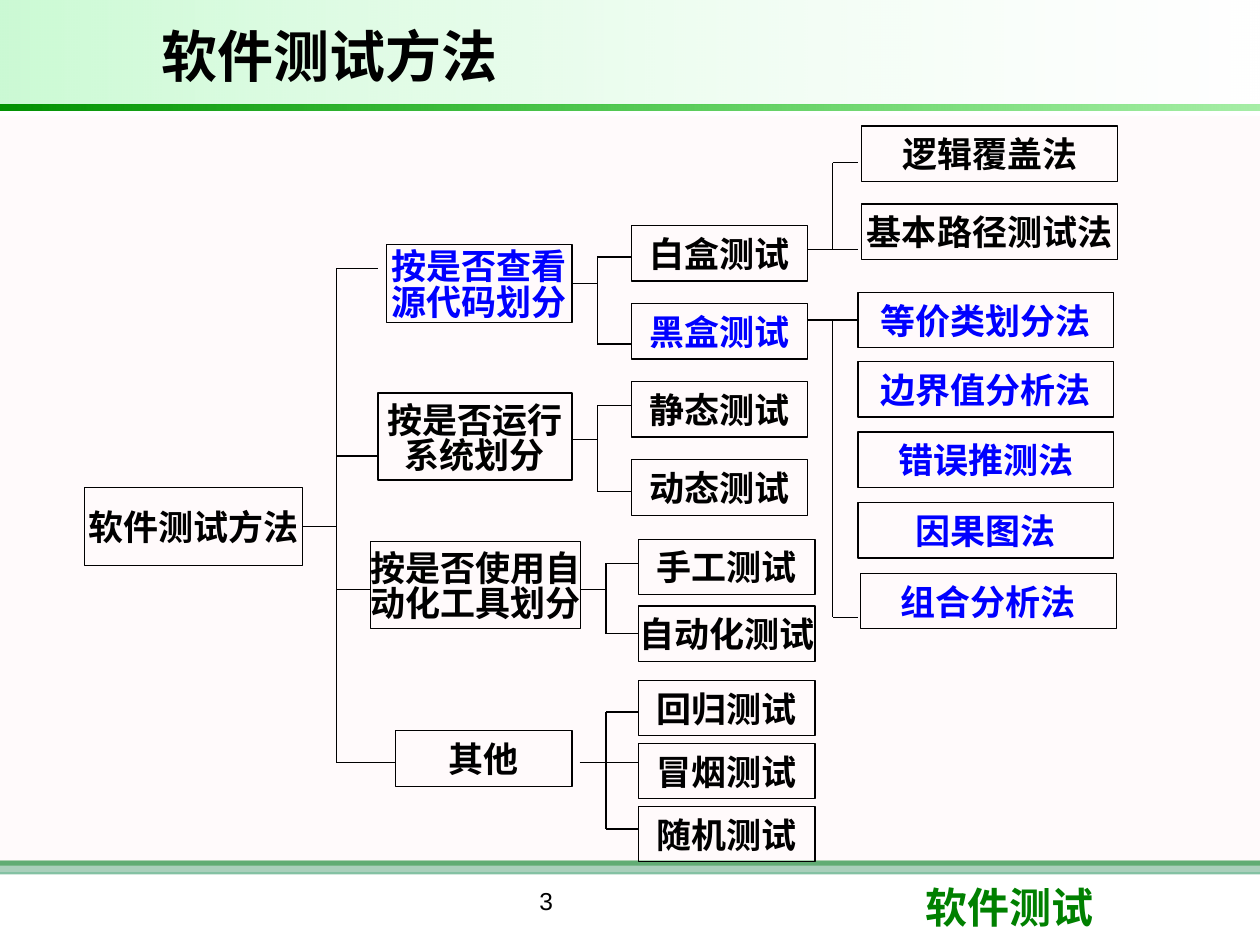
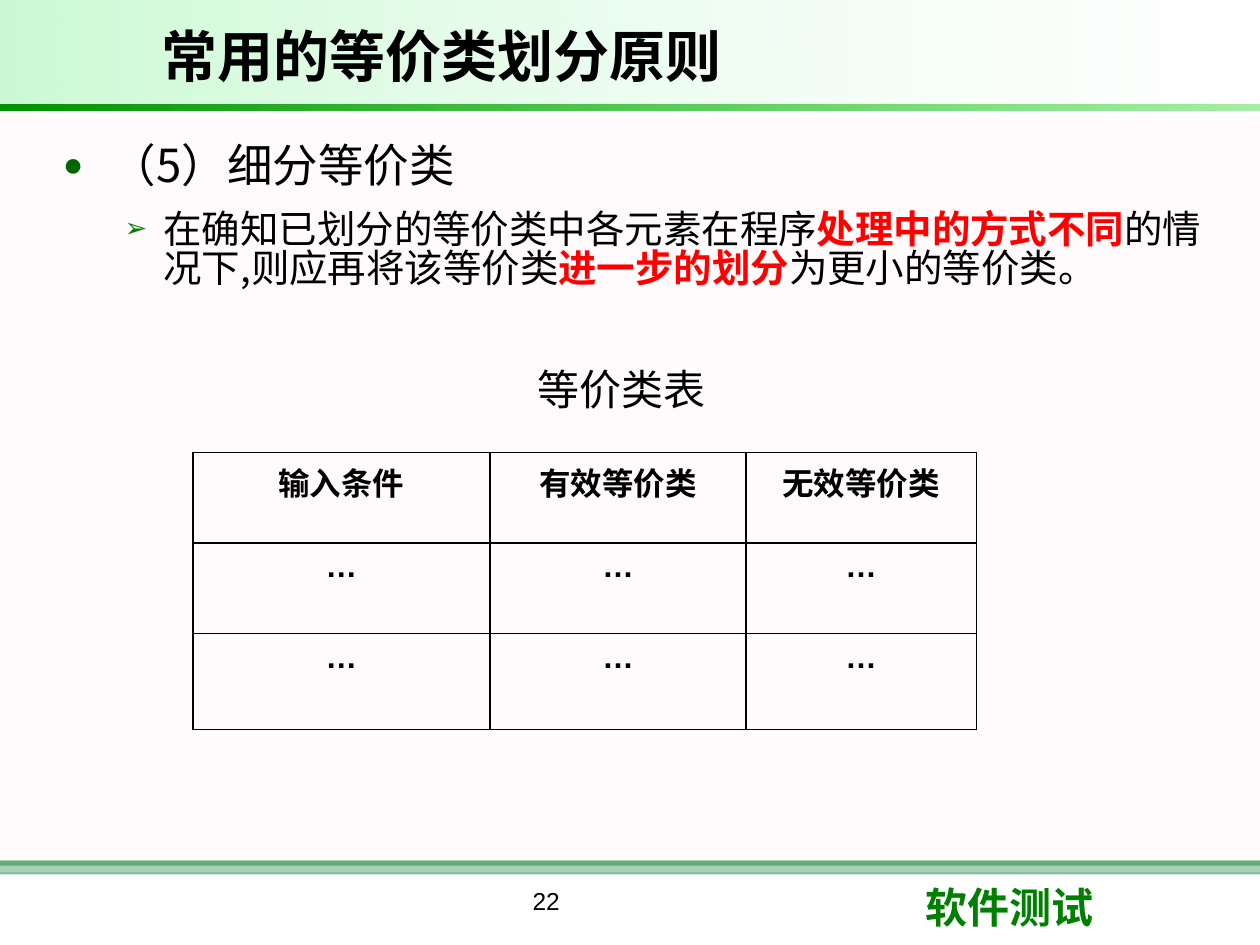
"""Build two slides on software testing methods."""
from dataclasses import dataclass
from typing import NamedTuple

from lxml.etree import SubElement
from pptx import Presentation
from pptx.dml.color import RGBColor as RGB
from pptx.enum.shapes import MSO_CONNECTOR as CONN, MSO_SHAPE as SHAPE
from pptx.enum.text import MSO_ANCHOR as ANCHOR, PP_ALIGN as ALIGN
from pptx.oxml.ns import qn
from pptx.util import Emu, Pt

SCALE = 9144
CJK = "Noto Sans CJK SC"
TIGHT = 0.84
COLORS = {
    "black": "000000", "white": "FFFFFF", "blue": "0000FF", "red": "FF0000",
    "green": "008000", "dark": "006600", "sea": "339966", "blush": "FFF0F5",
    "mint": "09E733", "leaf": "009200", "lime": "00CC00",
}


class Band(NamedTuple):
    """A full-width band whose fill is one or two (colour, opacity) stops."""
    y: int
    h: int
    stops: tuple[tuple[str, int], ...]


@dataclass
class Box:
    """A node of the method tree."""
    text: str
    x: int
    y: int
    w: int = 140
    h: int = 44
    color: str = "black"


class Bracket(NamedTuple):
    """A feeder line, a vertical trunk and the tips leaving it."""
    start: tuple[int, int]
    trunk: int
    tips: tuple[tuple[int, int], ...]


class Span(NamedTuple):
    """A stretch of text in one style."""
    text: str
    color: str = "black"
    bold: bool = False


class Bullet(NamedTuple):
    """A bulleted paragraph."""
    char: str
    color: str
    percent: int
    left: int
    hang: int
    size: int
    spans: tuple[Span, ...]


BANDS = (
    Band(683, 4, (("green", 100),)),
    Band(683, 11, (("sea", 60),)),
    Band(92, 600, (("blush", 30),)),
    Band(0, 83, (("mint", 21), ("white", 10))),
    Band(83, 5, (("leaf", 100), ("lime", 35))),
)
BLACK_BOX_METHODS = ("等价类划分法", "边界值分析法", "错误推测法", "因果图法", "组合分析法")
BOXES = [
    Box("软件测试方法", 67, 387, 173, 62),
    Box("按是否查看\n源代码划分", 307, 194, 147, 62, "blue"),
    Box("按是否运行\n系统划分", 300, 312, 154, 69),
    Box("按是否使用自\n动化工具划分", 294, 430, 167, 69),
    Box("其他", 314, 580),
    Box("白盒测试", 501, 179),
    Box("黑盒测试", 501, 241, color="blue"),
    Box("静态测试", 501, 303),
    Box("动态测试", 501, 365),
    Box("手工测试", 507, 428),
    Box("自动化测试", 507, 481),
    *(Box(text, 507, 540 + 50 * i)
      for i, text in enumerate(("回归测试", "冒烟测试", "随机测试"))),
    *(Box(text, 684, 100 + 62 * i, 203)
      for i, text in enumerate(("逻辑覆盖法", "基本路径测试法"))),
    *(Box(text, 683 if i == 4 else 681, 232 + int(55.75 * i), 203, color="blue")
      for i, text in enumerate(BLACK_BOX_METHODS)),
]
BRACKETS = (
    Bracket((240, 418), 267, ((300, 213), (300, 362), (294, 468), (314, 605))),
    Bracket((454, 225), 474, ((501, 204), (501, 273))),
    Bracket((454, 349), 474, ((501, 322), (501, 390))),
    Bracket((460, 468), 481, ((507, 447), (507, 503))),
    Bracket((460, 605), 481, ((507, 565), (507, 605), (507, 658))),
    Bracket((641, 198), 661, ((681, 129), (681, 198))),
    Bracket((641, 254), 661, ((681, 254), (681, 490))),
)
BULLETS = (
    Bullet("●", "dark", 75, 39, -38, 26, (Span("（5）细分等价类"),)),
    Bullet("➢", "green", 70, 81, -31, 22, (
        Span("在确知已划分的等价类中各元素在程序"),
        Span("处理中的方式不同", "red", True),
        Span("的情况下,则应再将该等价类"),
        Span("进一步的划分", "red", True),
        Span("为更小的等价类。"),
    )),
)
COLUMNS = (236, 203, 183)
ROWS = (72, 72, 76)
CELLS = (("输入条件", "有效等价类", "无效等价类"), ("…",) * 3, ("…",) * 3)


def px(value: float) -> Emu:
    """Turn px into EMU."""
    return Emu(round(value * SCALE))


def rgb(name: str) -> RGB:
    """Look up a colour."""
    return RGB.from_string(COLORS[name])


def assign(target, **values) -> None:
    """Set the given attributes on an object."""
    for key, value in values.items():
        setattr(target, key, value)


def add_run(p, span: Span, size: int, font: str = "Arial") -> None:
    """Add a styled run to a paragraph."""
    r = p.add_run()
    r.text = span.text
    assign(r.font, size=Pt(size), bold=span.bold, name=font)
    r.font.color.rgb = rgb(span.color)
    SubElement(r.font._element, qn("a:ea"), typeface=CJK)


def fill_text(tf, span: Span, size: int, font: str = "Arial",
              align: ALIGN = ALIGN.LEFT) -> None:
    """Write each line of a span as a paragraph."""
    for i, line in enumerate(span.text.split("\n")):
        p = tf.add_paragraph() if i else tf.paragraphs[0]
        p.alignment = align
        if i:
            p.line_spacing = TIGHT
        add_run(p, span._replace(text=line), size, font)


def add_text(s, area: tuple[int, int, int, int], span: Span, size: int,
             font: str = "Arial", align: ALIGN = ALIGN.LEFT,
             anchor: ANCHOR = ANCHOR.TOP, wrap: bool = True) -> None:
    """Add a text box."""
    tf = s.shapes.add_textbox(*map(px, area)).text_frame
    assign(tf, word_wrap=wrap, vertical_anchor=anchor)
    fill_text(tf, span, size, font, align)


def add_band(s, band: Band) -> None:
    """Draw a band with a solid or gradient fill."""
    sp = s.shapes.add_shape(SHAPE.RECTANGLE, 0, px(band.y), px(1000), px(band.h))
    sp.shadow.inherit = False
    sp.line.fill.background()
    if len(band.stops) == 1:
        sp.fill.solid()
        sp.fill.fore_color.rgb = rgb(band.stops[0][0])
    else:
        sp.fill.gradient()
        sp.fill.gradient_angle = 0
        for stop, (color, _) in zip(sp.fill.gradient_stops, band.stops):
            stop.color.rgb = rgb(color)
    colors = sp._element.spPr.iter(qn("a:srgbClr"))
    for clr, (_, opacity) in zip(colors, band.stops):
        if opacity < 100:
            SubElement(clr, qn("a:alpha"), val=str(opacity * 1000))


def add_frame(prs, title: str, number: int):
    """Add a slide with its bands, title and footer."""
    s = prs.slides.add_slide(prs.slide_layouts[6])
    for band in BANDS:
        add_band(s, band)
    add_text(s, (725, 695, 237, 50), Span("软件测试", "green", True), 24, "Lato")
    add_text(s, (118, 8, 697, 71), Span(title, bold=True), 32, anchor=ANCHOR.MIDDLE)
    add_text(s, (275, 698, 317, 52), Span(str(number)), 14, align=ALIGN.CENTER)
    return s


def add_box(s, box: Box):
    """Draw a tree node and return its shape."""
    sp = s.shapes.add_shape(SHAPE.RECTANGLE, *map(px, (box.x, box.y, box.w, box.h)))
    sp.shadow.inherit = False
    sp.fill.background()
    sp.line.color.rgb = rgb("black")
    sp.line.width = Pt(0.75)
    tf = sp.text_frame
    assign(tf, word_wrap=False, vertical_anchor=ANCHOR.MIDDLE)
    fill_text(tf, Span(box.text, box.color, True), 20, align=ALIGN.CENTER)
    return sp


def add_line(s, start: tuple[int, int], end: tuple[int, int], nodes: list) -> None:
    """Draw a line, joined to any node whose side middle it meets."""
    line = s.shapes.add_connector(CONN.STRAIGHT, *map(px, start + end))
    line.line.color.rgb = rgb("black")
    line.line.width = Pt(0.75)
    SubElement(line._element.spPr, qn("a:effectLst"))
    for box, sp in nodes:
        middle = box.y + box.h / 2
        if start[0] == box.x + box.w and abs(start[1] - middle) <= 1:
            line.begin_connect(sp, 3)
        if end[0] == box.x and abs(end[1] - middle) <= 1:
            line.end_connect(sp, 1)


def add_bracket(s, bracket: Bracket, nodes: list) -> None:
    """Draw the feeder, trunk and tips of a bracket."""
    x, levels = bracket.trunk, [y for _, y in bracket.tips]
    add_line(s, bracket.start, (x, bracket.start[1]), nodes)
    add_line(s, (x, min(levels)), (x, max(levels)), nodes)
    for tip in bracket.tips:
        add_line(s, (x, tip[1]), tip, nodes)


def add_bullets(s) -> None:
    """Write the bulleted text."""
    tf = s.shapes.add_textbox(*map(px, (39, 104, 936, 170))).text_frame
    tf.word_wrap = True
    for i, item in enumerate(BULLETS):
        p = tf.add_paragraph() if i else tf.paragraphs[0]
        p.space_after = Pt(6)
        if i:
            assign(p, level=1, space_before=Pt(6), line_spacing=TIGHT)
        pPr = p._p.get_or_add_pPr()
        pPr.set("marL", str(px(item.left)))
        pPr.set("indent", str(px(item.hang)))
        clr = SubElement(pPr, qn("a:buClr"))
        SubElement(clr, qn("a:srgbClr"), val=COLORS[item.color])
        SubElement(pPr, qn("a:buSzPct"), val=str(item.percent * 1000))
        SubElement(pPr, qn("a:buFont"), typeface="Arial")
        SubElement(pPr, qn("a:buChar"), char=item.char)
        for span in item.spans:
            add_run(p, span, item.size, CJK)


def add_borders(cell) -> None:
    """Give a cell black borders on all sides."""
    tcPr = cell._tc.get_or_add_tcPr()
    for i, side in enumerate(("lnL", "lnR", "lnT", "lnB")):
        ln = tcPr.makeelement(qn(f"a:{side}"), {"w": str(Pt(1))})
        fill = SubElement(ln, qn("a:solidFill"))
        SubElement(fill, qn("a:srgbClr"), val=COLORS["black"])
        tcPr.insert(i, ln)


def add_class_table(s) -> None:
    """Draw the equivalence class table."""
    area = (153, 359, sum(COLUMNS), sum(ROWS))
    table = s.shapes.add_table(len(ROWS), len(COLUMNS), *map(px, area)).table
    assign(table, first_row=False, horz_banding=False)
    for column, w in zip(table.columns, COLUMNS):
        column.width = px(w)
    for i, (row, h) in enumerate(zip(table.rows, ROWS)):
        row.height = px(h)
        for cell, text in zip(row.cells, CELLS[i]):
            cell.fill.background()
            add_borders(cell)
            fill_text(cell.text_frame, Span(text, bold=True), 18,
                      "Arial" if i else CJK, ALIGN.CENTER)


def main() -> None:
    """Build and save the presentation."""
    prs = Presentation()
    assign(prs, slide_width=px(1000), slide_height=px(750))

    s = add_frame(prs, "软件测试方法", 3)
    nodes = [(box, add_box(s, box)) for box in BOXES]
    for bracket in BRACKETS:
        add_bracket(s, bracket, nodes)

    s = add_frame(prs, "常用的等价类划分原则", 22)
    add_bullets(s)
    add_class_table(s)
    add_text(s, (417, 283, 164, 51), Span("等价类表"), 24,
             anchor=ANCHOR.MIDDLE, wrap=False)
    prs.save("out.pptx")


if __name__ == "__main__":
    main()
